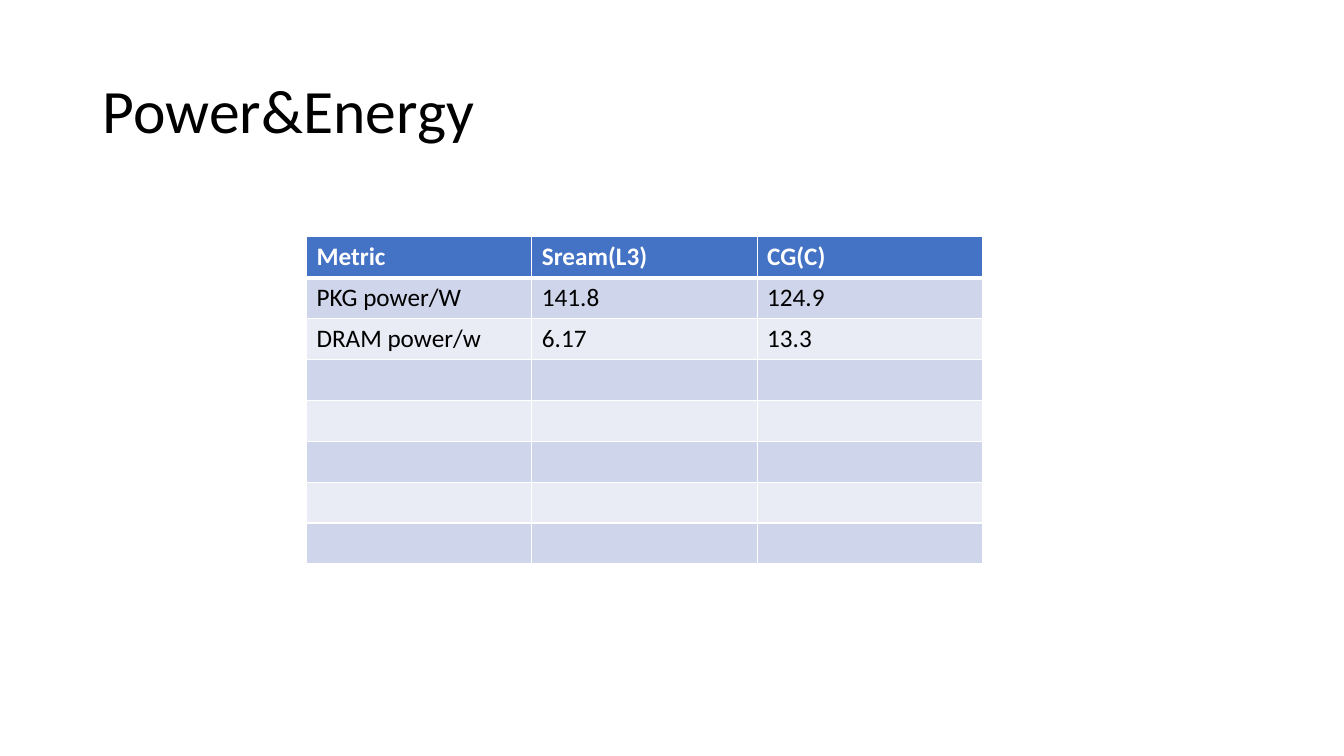
from lxml.etree import SubElement
from pptx import Presentation
from pptx.dml.color import RGBColor
from pptx.enum.text import MSO_ANCHOR, PP_ALIGN
from pptx.oxml.ns import qn
from pptx.util import Inches, Pt

WHITE = RGBColor(0xFF, 0xFF, 0xFF)
BLACK = RGBColor(0x00, 0x00, 0x00)
HEADER_BLUE = RGBColor(0x44, 0x72, 0xC4)
BANDS = (RGBColor(0xE9, 0xEB, 0xF5), RGBColor(0xCF, 0xD5, 0xEA))

FONT = "Calibri"
COLUMN_WIDTH = Inches(2.235)
ROW_HEIGHT = Inches(0.405)
ROW_COUNT = 8
METRICS = (
    ("Metric", "Sream(L3)", "CG(C)"),
    ("PKG power/W", "141.8", "124.9"),
    ("DRAM power/w", "6.17", "13.3"),
)


def add_span(para, text, size, color, bold=False):
    span = para.add_run()
    span.text = text
    span.font.name = FONT
    span.font.size = Pt(size)
    span.font.bold = bold
    span.font.color.rgb = color


def set_title(page, text):
    box = page.shapes.title
    box.left, box.top = Inches(0.92), Inches(0.4)
    box.width, box.height = Inches(11.5), Inches(1.45)
    box.text_frame.word_wrap = True
    box.text_frame.vertical_anchor = MSO_ANCHOR.MIDDLE
    para = box.text_frame.paragraphs[0]
    para.alignment = PP_ALIGN.LEFT
    para.line_spacing = 0.9
    add_span(para, text, 44, BLACK)


def set_border(cell, side, points):
    properties = cell._tc.get_or_add_tcPr()
    line = SubElement(properties, qn(f"a:ln{side}"), w=str(Pt(points)))
    fill = SubElement(line, qn("a:solidFill"))
    SubElement(fill, qn("a:srgbClr"), val=str(WHITE))


def format_cell(cell, row):
    for side in "LRTB":
        under_header = (row, side) in ((0, "B"), (1, "T"))
        set_border(cell, side, 3 if under_header else 1)
    cell.fill.solid()
    cell.fill.fore_color.rgb = BANDS[row % 2] if row else HEADER_BLUE


def add_metric_table(page, records, row_count):
    column_count = len(records[0])
    table = page.shapes.add_table(
        row_count, column_count, Inches(3.04), Inches(2.35),
        COLUMN_WIDTH * column_count, ROW_HEIGHT * row_count,
    ).table
    for row in range(row_count):
        for column in range(column_count):
            format_cell(table.cell(row, column), row)
    for row, record in enumerate(records):
        color = BLACK if row else WHITE
        for column, text in enumerate(record):
            para = table.cell(row, column).text_frame.paragraphs[0]
            add_span(para, text, 18, color, bold=row == 0)


def main():
    deck = Presentation()
    deck.slide_width, deck.slide_height = Inches(13.33), Inches(7.5)
    page = deck.slides.add_slide(deck.slide_layouts.get_by_name("Title Only"))
    set_title(page, "Power&Energy")
    add_metric_table(page, METRICS, ROW_COUNT)
    deck.save("out.pptx")


main()
